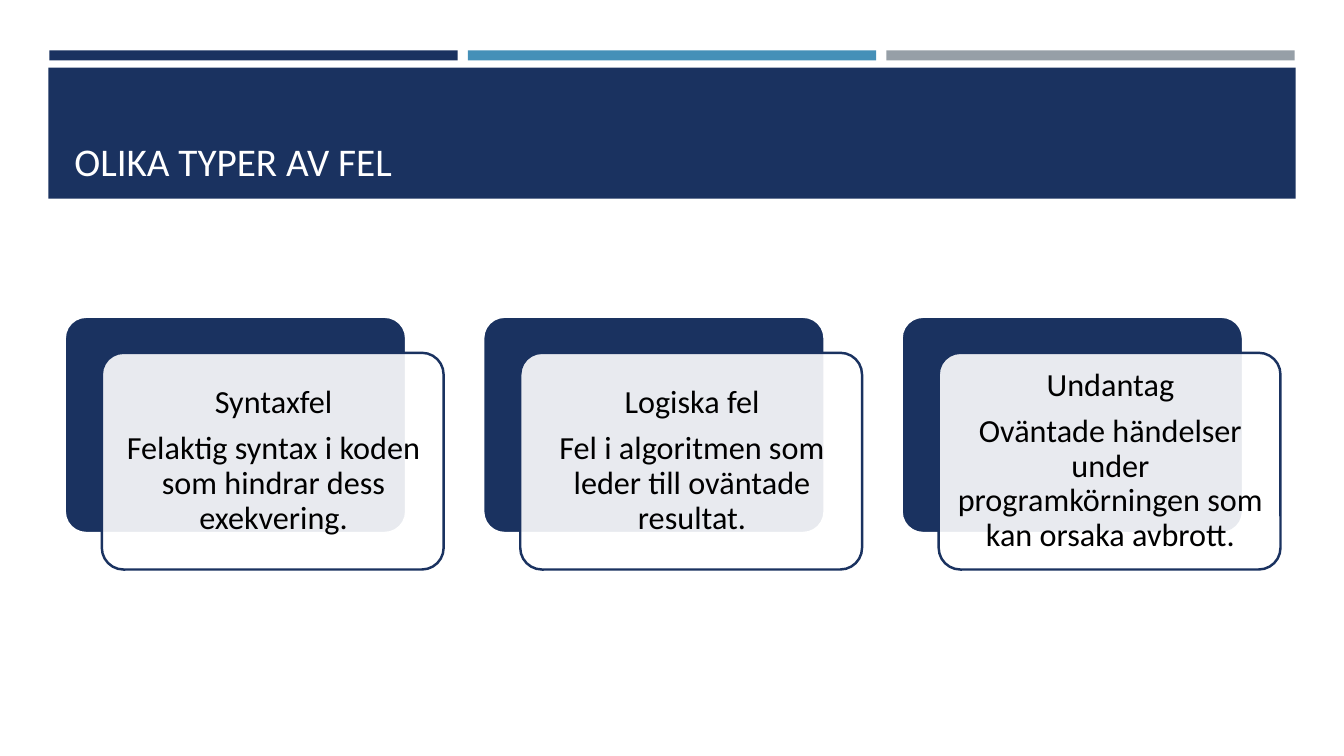
import pptx
import pptx.dml.color
import pptx.enum.shapes
import pptx.enum.text
import pptx.oxml.ns
import pptx.util
from lxml import etree
from pptx.util import Inches

RGBColor = pptx.dml.color.RGBColor
Shapes = pptx.enum.shapes.MSO_SHAPE
Anchor = pptx.enum.text.MSO_ANCHOR
Align = pptx.enum.text.PP_ALIGN

NAVY = RGBColor(0x1A, 0x32, 0x60)
BLUE = RGBColor(0x45, 0x90, 0xB8)
GRAY = RGBColor(0x96, 0x9F, 0xA7)
WHITE = RGBColor(0xFF, 0xFF, 0xFF)
BLACK = RGBColor(0x00, 0x00, 0x00)

FONT = "Calibri"
COLUMN_STEP = 4.15
ERROR_TYPES = [
    ("Syntaxfel", "Felaktig syntax i koden som hindrar dess exekvering."),
    ("Logiska fel", "Fel i algoritmen som leder till oväntade resultat."),
    ("Undantag", "Oväntade händelser under programkörningen som kan orsaka avbrott."),
]


def add_box(slide, kind, left, top, width, height, fill):
    shape = slide.shapes.add_shape(
        kind, Inches(left), Inches(top), Inches(width), Inches(height))
    shape.shadow.inherit = False
    shape.fill.solid()
    shape.fill.fore_color.rgb = fill
    shape.line.fill.background()
    return shape


def add_rounded_box(slide, left, top, fill, line_color, line_width):
    shape = add_box(slide, Shapes.ROUNDED_RECTANGLE, left, top, 3.39, 2.15, fill)
    shape.adjustments[0] = 0.1
    shape.line.color.rgb = line_color
    shape.line.width = pptx.util.Pt(line_width)
    return shape


def set_opacity(shape, percent):
    color = shape.fill._xPr.find(".//" + pptx.oxml.ns.qn("a:srgbClr"))
    alpha = etree.SubElement(color, pptx.oxml.ns.qn("a:alpha"))
    alpha.set("val", str(percent * 1000))


def add_text_box(slide, left, top, width, height, anchor):
    box = slide.shapes.add_textbox(
        Inches(left), Inches(top), Inches(width), Inches(height))
    box.text_frame.word_wrap = True
    box.text_frame.vertical_anchor = anchor
    return box.text_frame


def add_run(paragraph, text, size, color):
    run = paragraph.add_run()
    run.text = text
    run.font.name = FONT
    run.font.size = pptx.util.Pt(size)
    run.font.color.rgb = color


def add_header(slide, title):
    for column, color in enumerate((NAVY, BLUE, GRAY)):
        add_box(slide, Shapes.RECTANGLE,
                0.49 + column * COLUMN_STEP, 0.5, 4.05, 0.1, color)
    add_box(slide, Shapes.RECTANGLE, 0.48, 0.67, 12.37, 1.3, NAVY)
    frame = add_text_box(slide, 0.64, 0.77, 12.06, 1.11, Anchor.BOTTOM)
    add_run(frame.paragraphs[0], title, 28, WHITE)


def add_card(slide, left, heading, description):
    """Add a navy back plate with an offset, translucent text panel."""
    add_rounded_box(slide, left, 3.14, NAVY, WHITE, 2)
    panel = add_rounded_box(slide, left + 0.37, 3.5, WHITE, NAVY, 1.75)
    set_opacity(panel, 90)

    frame = add_text_box(slide, left + 0.44, 3.56, 3.27, 2.03, Anchor.MIDDLE)
    frame.margin_left = frame.margin_right = Inches(0.1)
    frame.margin_top = frame.margin_bottom = Inches(0.1)
    for paragraph, text in ((frame.paragraphs[0], heading),
                            (frame.add_paragraph(), description)):
        paragraph.alignment = Align.CENTER
        paragraph.line_spacing = 0.9
        paragraph.space_after = pptx.util.Pt(8)
        add_run(paragraph, text, 23, BLACK)


def main():
    presentation = pptx.Presentation()
    presentation.slide_width = Inches(13.33)
    presentation.slide_height = Inches(7.5)
    slide = presentation.slides.add_slide(presentation.slide_layouts[6])

    add_header(slide, "OLIKA TYPER AV FEL")
    for column, (heading, description) in enumerate(ERROR_TYPES):
        add_card(slide, 0.64 + column * COLUMN_STEP, heading, description)

    presentation.save("out.pptx")


if __name__ == "__main__":
    main()
